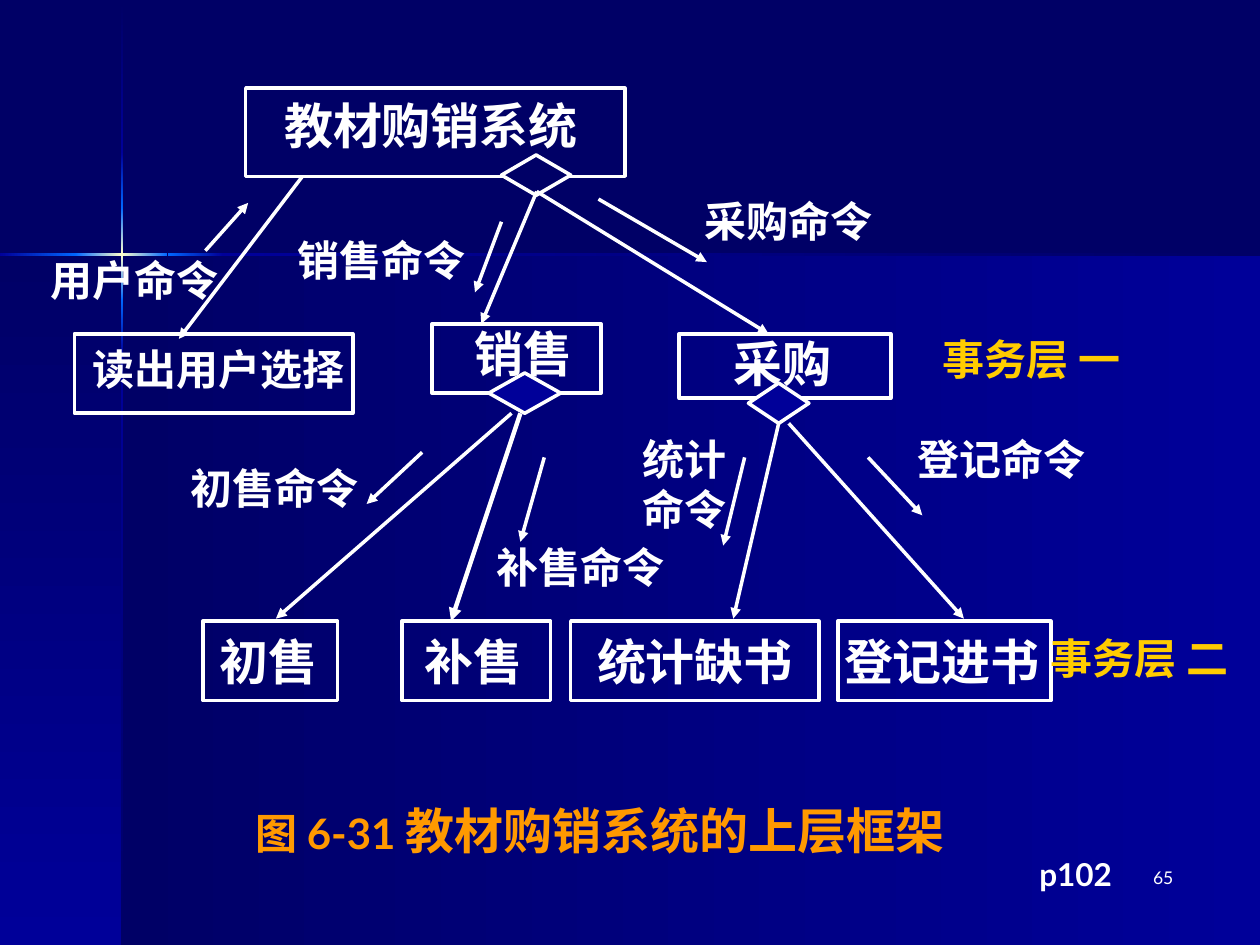
from pptx import Presentation
from pptx.dml.color import RGBColor
from pptx.enum.shapes import MSO_CONNECTOR, MSO_SHAPE
from pptx.enum.text import PP_ALIGN
from pptx.oxml.ns import qn
from pptx.util import Inches, Pt
from lxml.etree import SubElement

WHITE = RGBColor(0xFF, 0xFF, 0xFF)
NAVY = RGBColor(0x00, 0x00, 0x66)
BLUE = RGBColor(0x00, 0x00, 0x99)
BRIGHT = RGBColor(0x00, 0x66, 0xFF)
CREAM = RGBColor(0xFF, 0xFF, 0xCC)
YELLOW = RGBColor(0xFF, 0xCC, 0x00)
ORANGE = RGBColor(0xFF, 0x99, 0x00)
HAN, LATIN = "Noto Sans CJK SC", "Lato"
DOWN, LEFTWARD = 90, 180


class Diagram:
    def __init__(self, slide, line_width=2):
        self.slide = slide
        self.shapes = slide.shapes
        self.line_width = line_width

    def band(self, x, y, w, h, angle, *colours):
        """Draw a borderless rectangle with evenly spaced gradient stops."""
        sp = self.shapes.add_shape(MSO_SHAPE.RECTANGLE, *map(Inches, (x, y, w, h)))
        sp.shadow.inherit = False
        sp.line.fill.background()
        sp.fill.gradient()
        grad = sp.fill._xPr.find(qn("a:gradFill"))
        stops = grad.find(qn("a:gsLst"))
        for old in list(stops):
            stops.remove(old)
        for i, colour in enumerate(colours):
            gs = SubElement(stops, qn("a:gs"), pos=str(100000 * i // (len(colours) - 1)))
            SubElement(gs, qn("a:srgbClr"), val=str(colour))
        grad.find(qn("a:lin")).set("ang", str(angle * 60000))

    def outline(self, kind, x, y, w, h, fill=None):
        sp = self.shapes.add_shape(kind, *map(Inches, (x, y, w, h)))
        sp.shadow.inherit = False
        if fill is None:
            sp.fill.background()
        else:
            sp.fill.solid()
            sp.fill.fore_color.rgb = fill
        sp.line.color.rgb = WHITE
        sp.line.width = Pt(self.line_width)
        return sp

    def style(self, font, size, colour, name=HAN, bold=True):
        font.size, font.bold, font.name = Pt(size), bold, name
        font.color.rgb = colour
        SubElement(font._element, qn("a:ea"), typeface=HAN)

    def text_box(self, x, y, w, h, margins=(0, 0), align=PP_ALIGN.CENTER):
        tf = self.shapes.add_textbox(*map(Inches, (x, y, w, h))).text_frame
        tf.word_wrap = True
        tf.margin_left = tf.margin_right = Inches(margins[0])
        tf.margin_top = tf.margin_bottom = Inches(margins[1])
        tf.paragraphs[0].alignment = align
        return tf

    def label(self, text, x, y, w, h=0.4, size=24, colour=WHITE, name=HAN,
              bold=True, **box):
        tf = self.text_box(x, y, w, h, **box)
        align = tf.paragraphs[0].alignment
        tf.text = text
        for p in tf.paragraphs:
            p.alignment = align
            self.style(p.font, size, colour, name, bold)

    def caption(self, x, y, w, h, colour, *parts):
        p = self.text_box(x, y, w, h).paragraphs[0]
        for text, size, name in parts:
            r = p.add_run()
            r.text = text
            self.style(r.font, size, colour, name)

    def arrow(self, x1, y1, x2, y2, width=None):
        c = self.shapes.add_connector(MSO_CONNECTOR.STRAIGHT,
                                      *map(Inches, (x1, y1, x2, y2)))
        c.line.color.rgb = WHITE
        c.line.width = Pt(width or self.line_width)
        SubElement(c.line._get_or_add_ln(), qn("a:tailEnd"), type="triangle")
        SubElement(c._element.spPr, qn("a:effectLst"))
        return c


def main():
    prs = Presentation()
    prs.slide_width, prs.slide_height = Inches(10), Inches(7.5)
    slide = prs.slides.add_slide(prs.slide_layouts[6])
    slide.background.fill.solid()
    slide.background.fill.fore_color.rgb = NAVY
    s = Diagram(slide)

    # Backdrop panels and the glowing cross
    s.band(0.97, 2.02, 9.03, 5.48, LEFTWARD, BLUE, NAVY)
    s.band(0, 2.02, 0.97, 5.48, DOWN, NAVY, BLUE)
    for y, h, colours in [
        (0.01, 1.2, (NAVY, BLUE)), (2.82, 4.68, (BLUE, NAVY)),
        (2.38, 0.44, (BRIGHT, BLUE)), (1.21, 0.44, (BLUE, BRIGHT)),
        (1.65, 0.73, (BRIGHT, CREAM, BRIGHT)),
    ]:
        s.band(0.96, y, 0.02, h, DOWN, *colours)
    for x, w, colours in [
        (1.77, 8.23, (NAVY, BLUE)), (0, 0.61, (BRIGHT, BLUE)),
        (1.33, 0.44, (BLUE, BRIGHT)), (0.6, 0.73, (BRIGHT, CREAM, BRIGHT)),
    ]:
        s.band(x, 2.01, w, 0.02, LEFTWARD, *colours)

    # Modules: box, then name with its left, top, width, height and size
    modules = [
        ((1.95, 0.7, 3.01, 0.7), ("教材购销系统", 2.01, 0.76, 2.82, 0.47, 28)),
        ((0.59, 2.65, 2.21, 0.63), ("读出用户选择", 0.67, 2.73, 2.13, 0.4, 24)),
        ((3.43, 2.57, 1.34, 0.55), ("销售", 3.55, 2.57, 1.21, 0.47, 28)),
        ((5.39, 2.65, 1.68, 0.51), ("采购", 5.69, 2.65, 1.04, 0.47, 28)),
    ]
    for x, w, name, name_x, name_w in [
        (1.61, 1.07, "初售", 1.64, 0.98), (3.19, 1.18, "补售", 3.19, 1.14),
        (4.53, 1.97, "统计缺书", 4.61, 1.81), (6.65, 1.69, "登记进书", 6.57, 1.81),
    ]:
        modules.append(((x, 4.93, w, 0.63), (name, name_x, 5.01, name_w, 0.47, 28)))
    for box, name in modules:
        s.outline(MSO_SHAPE.RECTANGLE, *box)
        s.label(*name)

    # Transaction-centre diamonds
    s.outline(MSO_SHAPE.DIAMOND, 3.98, 1.23, 0.55, 0.32, NAVY)
    s.outline(MSO_SHAPE.DIAMOND, 3.88, 2.96, 0.57, 0.32, BLUE)
    purchase = s.outline(MSO_SHAPE.DIAMOND, 5.94, 3.04, 0.48, 0.32, BLUE)

    # Calls between modules
    for ends in [
        (2.4, 1.4, 1.42, 2.69), (4.26, 1.52, 3.82, 2.57), (4.26, 1.52, 6.1, 2.65),
        (6.26, 3.36, 7.65, 4.91), (4.06, 3.28, 2.19, 4.91),
    ]:
        s.arrow(*ends)
    s.arrow(6.18, 3.36, 5.82, 4.91).begin_connect(purchase, 2)
    s.arrow(4.13, 3.28, 3.58, 4.93, width=2.5)

    # Commands passed along the calls
    for ends in [
        (1.63, 1.99, 1.97, 1.61), (4.32, 3.63, 4.13, 4.3), (4.75, 1.58, 5.61, 2.08),
        (3.98, 1.76, 3.77, 2.32), (3.35, 3.59, 2.91, 4), (5.91, 3.63, 5.74, 4.33),
        (6.89, 3.63, 7.32, 4.09),
    ]:
        s.arrow(*ends)
    for command in [
        ("用户命令", 0.27, 2.02, 1.59), ("销售命令", 2.32, 1.86, 1.42),
        ("采购命令", 5.39, 1.55, 1.73), ("初售命令", 1.22, 3.67, 1.92),
        ("补售命令", 3.66, 4.3, 1.89), ("统计\n命令", 4.84, 3.44, 1.18, 0.8),
        ("登记命令", 7.13, 3.44, 1.64),
    ]:
        s.label(*command)

    s.label("事务层 一", 7.28, 2.65, 1.81, colour=YELLOW)
    s.label("事务层 二", 8.3, 5.02, 1.49, colour=YELLOW)
    s.caption(1.53, 6.35, 6.46, 0.47, ORANGE,
              ("图 6-31 ", 24, LATIN), ("教材购销系统的上层框架", 28, HAN))
    s.label("p102", 8.15, 6.74, 1.34, size=18, name=LATIN,
            margins=(0.1, 0.05), align=PP_ALIGN.LEFT)
    s.label("65", 7.33, 6.83, 2.08, 0.5, size=10, name=LATIN, bold=False,
            margins=(0.1, 0.05), align=PP_ALIGN.RIGHT)

    prs.save("out.pptx")


if __name__ == "__main__":
    main()
